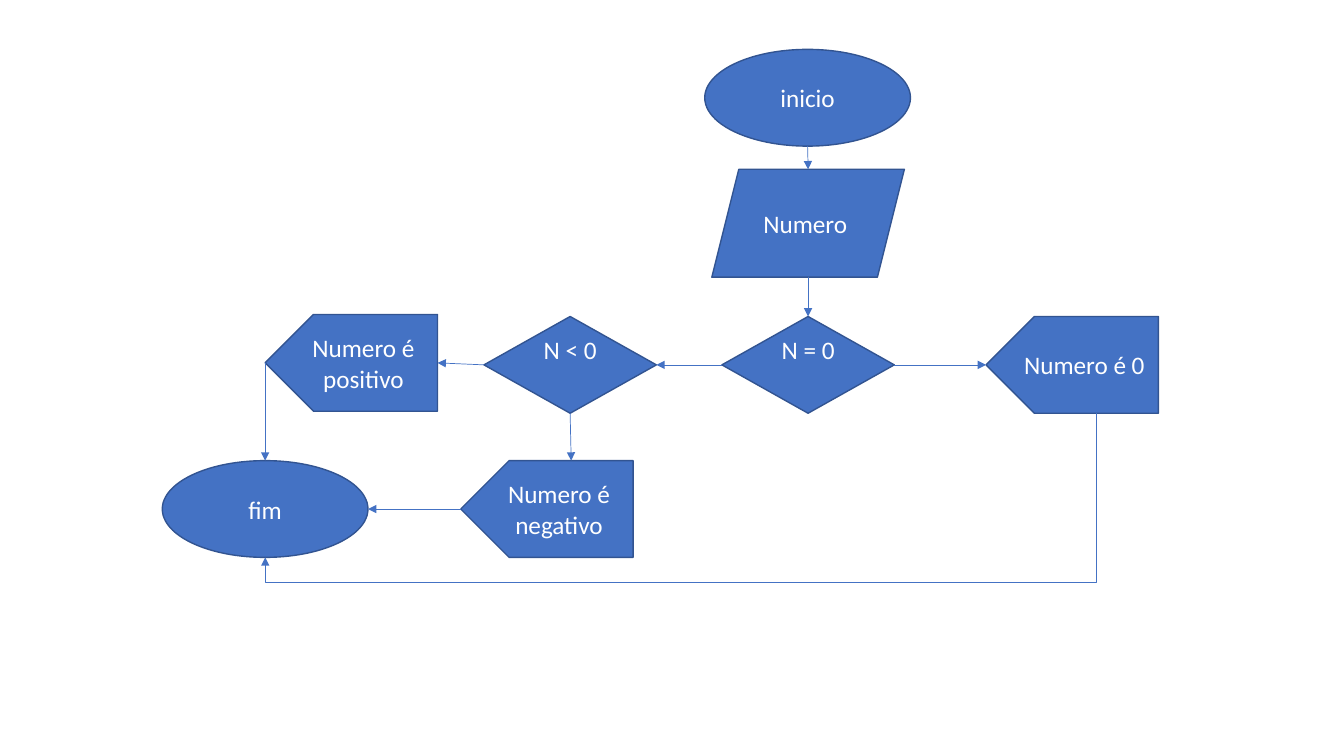
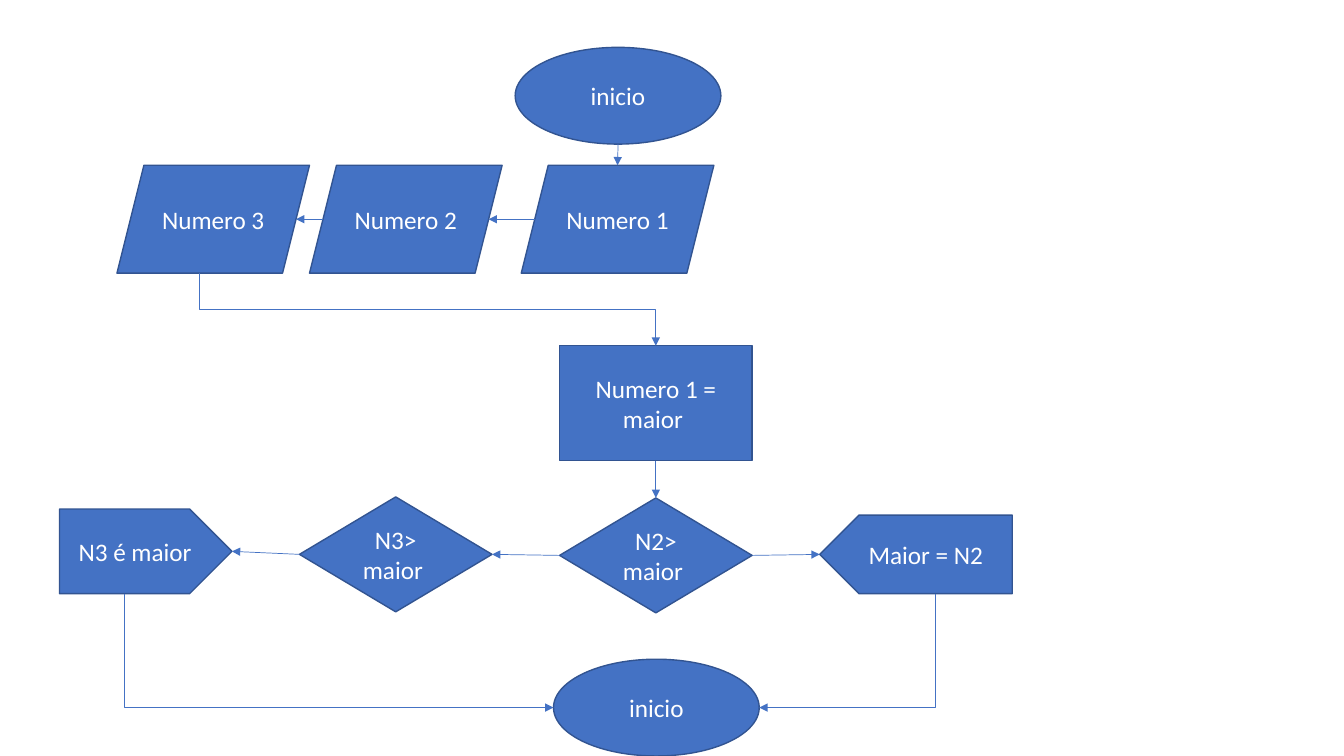
from lxml.etree import SubElement
from pptx import Presentation
from pptx.dml.color import RGBColor
from pptx.enum.shapes import MSO_CONNECTOR, MSO_SHAPE
from pptx.enum.text import PP_ALIGN
from pptx.oxml.ns import qn
from pptx.util import Inches, Pt

COLORS = {"fill": "4472C4", "outline": "325491", "arrow": "4472C4", "text": "FFFFFF"}
FONT = {"name": "Calibri", "size": Pt(18)}

PRESETS = {
    "terminal": MSO_SHAPE.OVAL,
    "input": MSO_SHAPE.PARALLELOGRAM,
    "process": MSO_SHAPE.RECTANGLE,
    "decision": MSO_SHAPE.FLOWCHART_DECISION,
    "output_left": MSO_SHAPE.PENTAGON,
    "output_right": MSO_SHAPE.PENTAGON,
}
TERMINAL, INPUT, SMALL, LARGE = (2.04, 0.96), (1.91, 1.07), (1.71, 0.96), (1.91, 1.14)
JOINABLE = ("process", "decision")
SITES = {"top": 0, "left": 1, "bottom": 2, "right": 3}
SIDES = {"top": (0.5, 0), "left": (0, 0.5), "bottom": (0.5, 1), "right": (1, 0.5)}
RAISED = 0.35  # bottom inset that lifts a label above the middle

# nodes: name: (kind, text, left, top, size, bottom inset or None)
# arrows: (from node, side, to node, side)
# elbows: the same, then the preset and the bend position (None for its default)
SLIDES = [
    {
        "nodes": {
            "start": ("terminal", "inicio", 6.99, 0.49, TERMINAL, None),
            "number": ("input", "Numero ", 7.06, 1.68, INPUT, None),
            "is_zero": ("decision", "N = 0", 7.16, 3.14, SMALL, RAISED),
            "zero": ("output_left", "Numero é 0", 9.78, 3.14, SMALL, None),
            "negative": ("output_left", "Numero é negativo", 4.57, 4.57, SMALL, None),
            "positive": ("output_left", "Numero é positivo", 2.63, 3.12, SMALL, None),
            "below_zero": ("decision", "N < 0", 4.8, 3.14, SMALL, RAISED),
            "end": ("terminal", "fim", 1.61, 4.57, TERMINAL, None),
        },
        "arrows": [
            ("start", "bottom", "number", "top"),
            ("number", "bottom", "is_zero", "top"),
            ("is_zero", "right", "zero", "left"),
            ("is_zero", "left", "below_zero", "right"),
            ("below_zero", "left", "positive", "right"),
            ("below_zero", "bottom", "negative", "top"),
            ("positive", "left", "end", "top"),
            ("negative", "left", "end", "right"),
        ],
        "elbows": [("zero", "bottom", "end", "bottom", "bentConnector3", 1.17)],
    },
    {
        "nodes": {
            "start": ("terminal", "inicio", 5.11, 0.47, TERMINAL, None),
            "number1": ("input", "Numero 1", 5.17, 1.64, INPUT, None),
            "number2": ("input", "Numero 2", 3.07, 1.64, INPUT, None),
            "number3": ("input", "Numero 3", 1.16, 1.64, INPUT, None),
            "largest": ("process", "Numero 1 = maior ", 5.55, 3.43, LARGE, None),
            "n2_larger": ("decision", "N2> maior ", 5.55, 4.94, LARGE, None),
            "n3_larger": ("decision", "N3> maior ", 2.97, 4.93, LARGE, None),
            "n2_result": ("output_left", "Maior = N2", 8.13, 5.11, (1.91, 0.78), None),
            "n3_result": ("output_right", "N3 é maior", 0.59, 5.05, (1.71, 0.84), None),
            "end": ("terminal", "inicio", 5.49, 6.54, TERMINAL, None),
        },
        "arrows": [
            ("start", "bottom", "number1", "top"),
            ("number1", "left", "number2", "right"),
            ("number2", "left", "number3", "right"),
            ("largest", "bottom", "n2_larger", "top"),
            ("n2_larger", "right", "n2_result", "left"),
            ("n2_larger", "left", "n3_larger", "right"),
            ("n3_larger", "left", "n3_result", "right"),
        ],
        "elbows": [
            ("number3", "bottom_edge", "largest", "top", "bentConnector3", None),
            ("n2_result", "bottom", "end", "right", "bentConnector2", None),
            ("n3_result", "bottom", "end", "left", "bentConnector2", None),
        ],
    },
]


def rgb(name):
    return RGBColor.from_string(COLORS[name])


def port(node, side):
    """Point, in inches, where an arrow meets the given side of a node."""
    kind, _, left, top, (w, h), _ = node
    slant = h / 4
    if side == "bottom_edge":
        return left + (w - slant) / 2, top + h
    fx, fy = SIDES[side]
    x = fx * w
    if kind == "input" and side in ("left", "right"):
        x += slant / 2 if side == "left" else -slant / 2
    elif kind.startswith("output") and side in ("top", "bottom"):
        body = (w - h / 2) / 2
        x = w - body if kind == "output_left" else body
    return left + x, top + fy * h


def add_node(s, node):
    kind, text, left, top, size, inset = node
    sp = s.shapes.add_shape(PRESETS[kind], *map(Inches, (left, top, *size)))
    sp.shadow.inherit = False
    sp.fill.solid()
    sp.fill.fore_color.rgb = rgb("fill")
    sp.line.color.rgb = rgb("outline")
    sp.line.width = Pt(1)
    if kind == "output_left":
        sp._element.spPr.find(qn("a:xfrm")).set("flipH", "1")
    tf = sp.text_frame
    tf.word_wrap = True
    if inset is not None:
        tf.margin_bottom = Inches(inset)
    p = tf.paragraphs[0]
    p.alignment = PP_ALIGN.CENTER
    r = p.add_run()
    r.text = text
    for key, value in FONT.items():
        setattr(r.font, key, value)
    r.font.color.rgb = rgb("text")
    return sp


def add_arrow(s, kind, start, end):
    c = s.shapes.add_connector(kind, *map(Inches, (*start, *end)))
    c.line.color.rgb = rgb("arrow")
    c.line.width = Pt(0.5)
    SubElement(c.line._get_or_add_ln(), qn("a:tailEnd"), type="triangle")
    SubElement(c._element.spPr, qn("a:effectLst"))
    return c


def add_elbow(s, start, end, preset, bend):
    """Elbow arrow that leaves its start downwards."""
    c = add_arrow(s, MSO_CONNECTOR.ELBOW, start, end)
    (x1, y1), (x2, y2) = start, end
    w, h = y2 - y1, abs(x2 - x1)
    c.left, c.top = Inches((x1 + x2 - w) / 2), Inches((y1 + y2 - h) / 2)
    c.width, c.height = Inches(w), Inches(h)
    xfrm = c._element.spPr.find(qn("a:xfrm"))
    to_right = x2 > x1
    xfrm.set("rot", str((270 if to_right else 90) * 60000))
    xfrm.set("flipH", "1" if to_right else "0")
    geom = c._element.spPr.find(qn("a:prstGeom"))
    geom.set("prst", preset)
    if bend is not None:
        SubElement(geom.find(qn("a:avLst")), qn("a:gd"), name="adj1",
                   fmla=f"val {round(bend * 100000)}")


def build_slide(prs, content):
    s = prs.slides.add_slide(prs.slide_layouts[6])
    nodes = content["nodes"]
    shapes = {name: add_node(s, node) for name, node in nodes.items()}
    for a, a_side, b, b_side in content["arrows"]:
        c = add_arrow(s, MSO_CONNECTOR.STRAIGHT, port(nodes[a], a_side), port(nodes[b], b_side))
        for name, side, join in ((a, a_side, c.begin_connect), (b, b_side, c.end_connect)):
            if nodes[name][0] in JOINABLE:
                join(shapes[name], SITES[side])
    for a, a_side, b, b_side, preset, bend in content["elbows"]:
        add_elbow(s, port(nodes[a], a_side), port(nodes[b], b_side), preset, bend)


def main():
    prs = Presentation()
    prs.slide_width, prs.slide_height = Inches(13.33), Inches(7.5)
    for content in SLIDES:
        build_slide(prs, content)
    prs.save("out.pptx")


if __name__ == "__main__":
    main()
